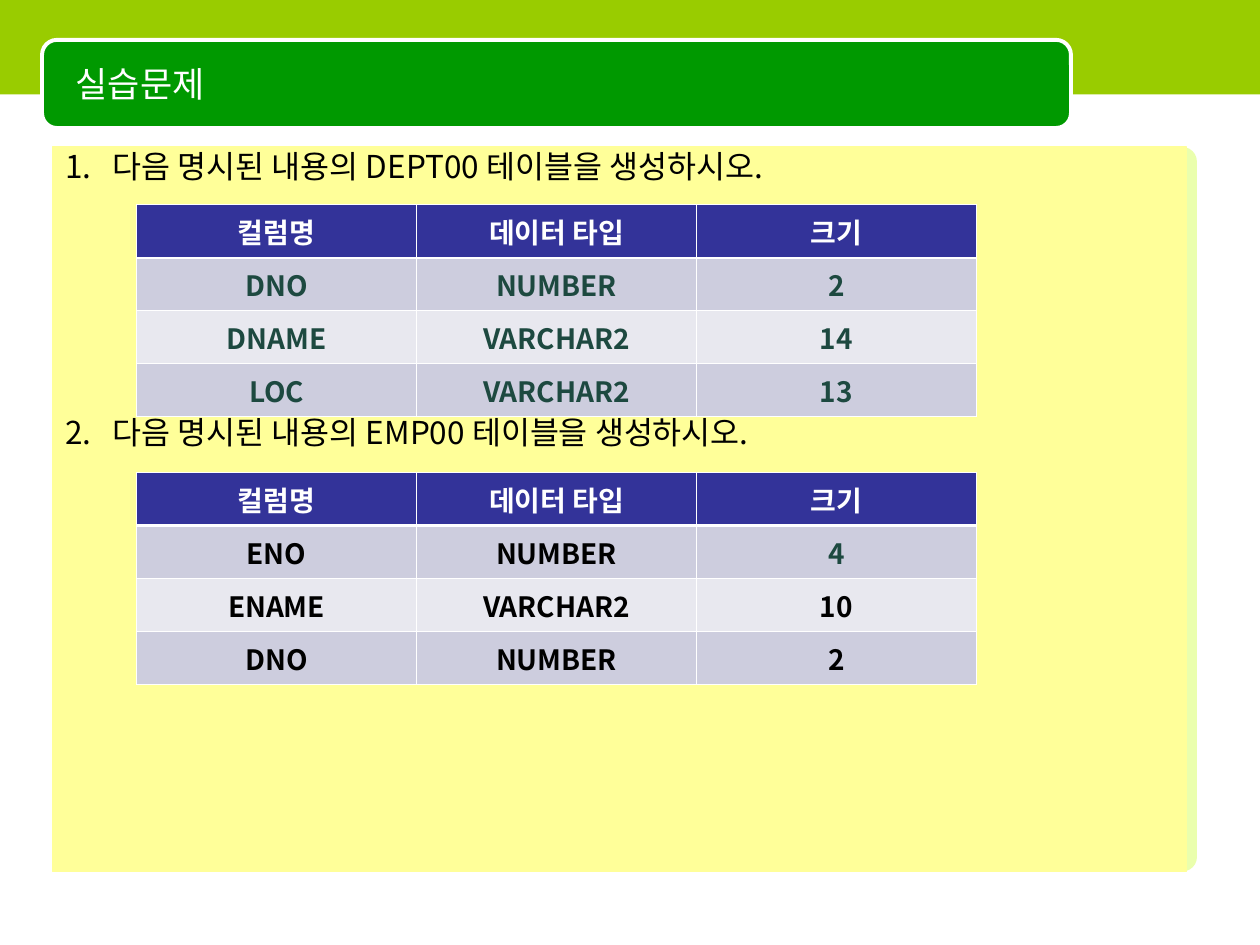
from lxml.etree import SubElement
from pptx import Presentation
from pptx.dml.color import RGBColor
from pptx.enum.shapes import MSO_SHAPE
from pptx.enum.text import MSO_ANCHOR, MSO_AUTO_SIZE, PP_ALIGN
from pptx.oxml.ns import qn
from pptx.util import Inches, Pt

HUES = {
    "white": "FFFFFF", "black": "000000", "lime": "99CC00", "glow": "CCFF33",
    "green": "009900", "cream": "FFFF99", "navy": "333399", "teal": "1D4940",
    "dark": "CDCDDE", "pale": "E8E8EF",
}


def hue(name):
    return RGBColor.from_string(HUES[name])


class Deck:
    """Style and current slide; lengths are units of a 120 by 90 grid."""

    font = "Noto Sans CJK KR"

    def __init__(self):
        self.prs = Presentation()
        self.prs.slide_width, self.prs.slide_height = Inches(10), Inches(7.5)
        self.unit = self.prs.slide_width / 120
        self.slide = self.prs.slides.add_slide(self.prs.slide_layouts[1])

    def span(self, *cells):
        return [round(n * self.unit) for n in cells]

    def add_text(self, para, text, size, color, bold=False):
        run = para.add_run()
        run.text = text
        font = run.font
        font.size, font.bold = Pt(size), bold
        font.color.rgb = hue(color)
        font.name = self.font
        SubElement(run._r.get_or_add_rPr(), qn("a:ea"), typeface=self.font)

    def box(self, kind, area, fill, line=None, curve=None, alpha=None):
        shape = self.slide.shapes.add_shape(kind, *self.span(*area))
        shape.shadow.inherit = False
        shape.fill.solid()
        shape.fill.fore_color.rgb = hue(fill)
        if curve is not None:
            shape.adjustments[0] = curve
        if alpha:
            tint = shape._element.spPr.find(".//" + qn("a:srgbClr"))
            SubElement(tint, qn("a:alpha"), val=str(alpha * 1000))
        if line:
            shape.line.color.rgb = hue(line)
            shape.line.width = Pt(2.25)
        else:
            shape.line.fill.background()

    def place(self, holder, area, anchor):
        """Move a placeholder to its area and in front of what is drawn."""
        holder.left, holder.top, holder.width, holder.height = self.span(*area)
        self.slide.shapes._spTree.append(holder._element)
        frame = holder.text_frame
        frame.auto_size, frame.word_wrap = MSO_AUTO_SIZE.NONE, True
        frame.vertical_anchor = anchor
        return frame

    def title(self, text, area):
        frame = self.place(self.slide.shapes.title, area, MSO_ANCHOR.MIDDLE)
        para = frame.paragraphs[0]
        para.alignment = PP_ALIGN.LEFT
        self.add_text(para, text, 20, "white")

    def tasks(self, items, area, gap):
        body = self.slide.placeholders[1]
        frame = self.place(body, area, MSO_ANCHOR.TOP)
        frame.margin_top = 0
        body.fill.solid()
        body.fill.fore_color.rgb = hue("cream")
        body.line.color.rgb = hue("cream")
        body.line.width = Pt(0.75)
        for i, text in enumerate(items):
            para = frame.add_paragraph() if i else frame.paragraphs[0]
            props = para._p.get_or_add_pPr()
            props.set("marL", str(Inches(0.38)))
            props.set("indent", str(-Inches(0.38)))
            tint = SubElement(props, qn("a:buClr"))
            SubElement(tint, qn("a:srgbClr"), val=HUES["black"])
            SubElement(props, qn("a:buFont"), typeface=self.font)
            SubElement(props, qn("a:buAutoNum"), type="arabicPeriod")
            para.space_before = Pt(gap if i else 0)
            self.add_text(para, text, 18, "black")

    def edge(self, cell, side, width):
        line = SubElement(cell._tc.get_or_add_tcPr(), qn("a:ln" + side),
                          w=str(Pt(width)))
        fill = SubElement(line, qn("a:solidFill"))
        SubElement(fill, qn("a:srgbClr"), val=HUES["white"])

    def table(self, rows, left, top, width, step, ink):
        """Draw a table; ink gives the text colour for a row and column."""
        count = len(rows[0])
        area = self.span(left, top, width, step * len(rows))
        grid = self.slide.shapes.add_table(len(rows), count, *area).table
        for r, row in enumerate(rows):
            for c, text in enumerate(row):
                cell = grid.cell(r, c)
                for side in "LRTB":
                    thick = (r, side) in ((0, "B"), (1, "T"))
                    self.edge(cell, side, 1.47 if thick else 0.45)
                cell.fill.solid()
                band = "dark" if r % 2 else "pale"
                cell.fill.fore_color.rgb = hue(band if r else "navy")
                para = cell.text_frame.paragraphs[0]
                para.alignment = PP_ALIGN.CENTER
                self.add_text(para, text, 16, ink(r, c) if r else "white", True)


def main():
    deck = Deck()
    # Backdrop and header
    deck.box(MSO_SHAPE.ROUNDED_RECTANGLE, (6, 14, 108, 69), "glow",
             curve=0.02, alpha=40)
    deck.box(MSO_SHAPE.RECTANGLE, (0, 0, 120, 9), "lime")
    deck.box(MSO_SHAPE.ROUNDED_RECTANGLE, (4, 3.8, 98, 8.4), "green",
             line="white", curve=0.17)
    deck.title("실습문제", (6, 4.2, 95, 7.5))

    # Numbered tasks, with room for a table after each
    deck.tasks(["다음 명시된 내용의 DEPT00 테이블을 생성하시오.",
                "다음 명시된 내용의 EMP00 테이블을 생성하시오."],
               (5, 14, 108, 69), 130.5)

    # Table layouts to create
    head = ("컬럼명", "데이터 타입", "크기")
    dept = [head, ("DNO", "NUMBER", "2"), ("DNAME", "VARCHAR2", "14"),
            ("LOC", "VARCHAR2", "13")]
    emp = [head, ("ENO", "NUMBER", "4"), ("ENAME", "VARCHAR2", "10"),
           ("DNO", "NUMBER", "2")]
    deck.table(dept, 13, 19.5, 80, 5, lambda r, c: "teal")
    deck.table(emp, 13, 45, 80, 5,
               lambda r, c: "teal" if (r, c) == (1, 2) else "black")
    deck.prs.save("out.pptx")


if __name__ == "__main__":
    main()
